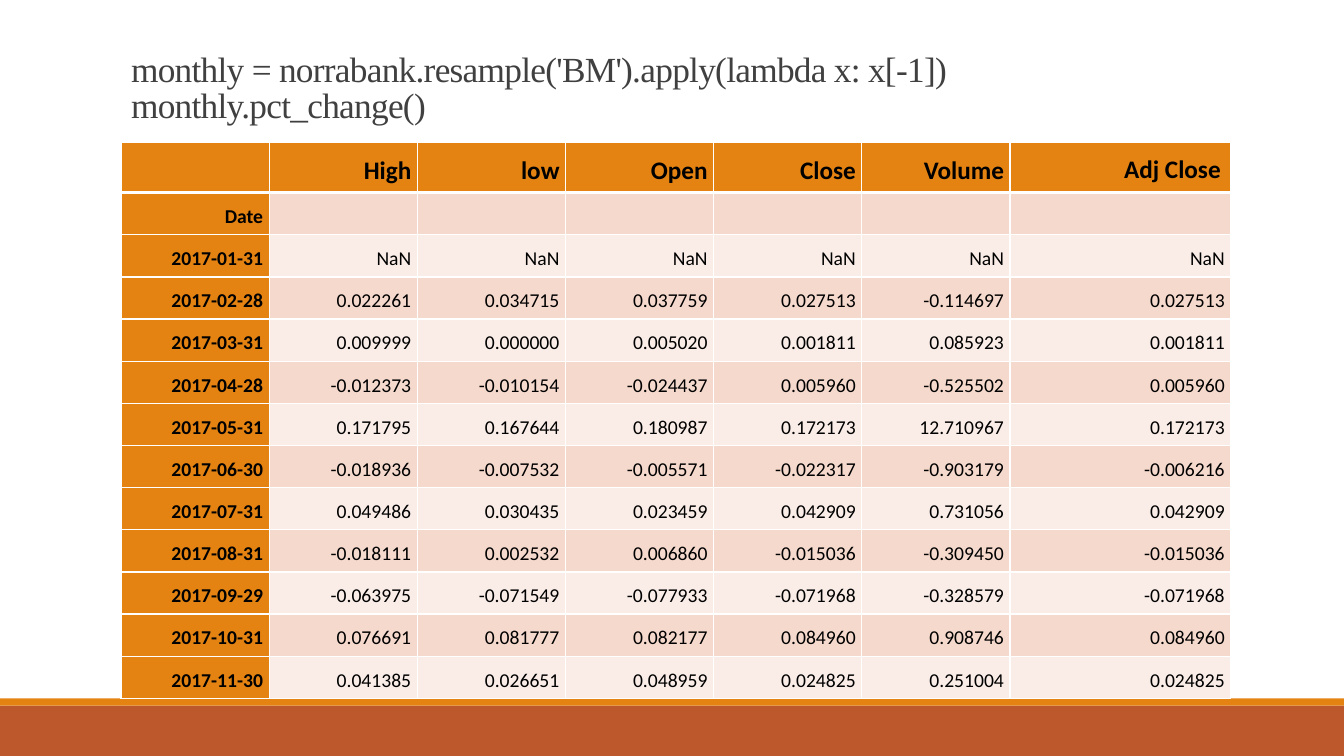
from lxml import etree
from pptx import Presentation
from pptx.dml.color import RGBColor
from pptx.enum.shapes import MSO_SHAPE
from pptx.enum.text import MSO_ANCHOR, MSO_AUTO_SIZE, PP_ALIGN
from pptx.oxml.ns import qn
from pptx.util import Inches, Pt

LEFT, RIGHT = PP_ALIGN.LEFT, PP_ALIGN.RIGHT
TOP, MIDDLE, BOTTOM = MSO_ANCHOR.TOP, MSO_ANCHOR.MIDDLE, MSO_ANCHOR.BOTTOM
RECTANGLE = MSO_SHAPE.RECTANGLE
NO_AUTOFIT = MSO_AUTO_SIZE.NONE

ORANGE, RUST = "E48312", "BD582C"
BAND_DARK, BAND_LIGHT = "F5D9CC", "FAEDE7"
WHITE, BLACK, GREY = "FFFFFF", "000000", "404040"

HEADINGS = ["", "High", "low", "Open", "Close", "Volume", "Adj Close"]
MONTHLY_CHANGES = """\
Date
2017-01-31 NaN NaN NaN NaN NaN NaN
2017-02-28 0.022261 0.034715 0.037759 0.027513 -0.114697 0.027513
2017-03-31 0.009999 0.000000 0.005020 0.001811 0.085923 0.001811
2017-04-28 -0.012373 -0.010154 -0.024437 0.005960 -0.525502 0.005960
2017-05-31 0.171795 0.167644 0.180987 0.172173 12.710967 0.172173
2017-06-30 -0.018936 -0.007532 -0.005571 -0.022317 -0.903179 -0.006216
2017-07-31 0.049486 0.030435 0.023459 0.042909 0.731056 0.042909
2017-08-31 -0.018111 0.002532 0.006860 -0.015036 -0.309450 -0.015036
2017-09-29 -0.063975 -0.071549 -0.077933 -0.071968 -0.328579 -0.071968
2017-10-31 0.076691 0.081777 0.082177 0.084960 0.908746 0.084960
2017-11-30 0.041385 0.026651 0.048959 0.024825 0.251004 0.024825"""


def paint(target, color):
    """Give a fill or a font the solid colour of a hex string."""
    if hasattr(target, "solid"):
        target.solid()
        target.fore_color.rgb = RGBColor.from_string(color)
    else:
        target.color.rgb = RGBColor.from_string(color)


def write(frame, text, font, size, color, align, line_spacing,
          bold=False, before=0, tracking=0):
    """Fill a text frame with one paragraph; \\v in the text breaks the line."""
    paragraph = frame.paragraphs[0]
    paragraph.text = text
    paragraph.alignment = align
    paragraph.line_spacing = line_spacing
    paragraph.space_before = Pt(before)
    for run in paragraph.runs:
        run.font.name = font
        run.font.size = Pt(size)
        run.font.bold = bold
        paint(run.font, color)
        if tracking:
            run.font._element.set("spc", str(int(tracking * 100)))


prs = Presentation()
prs.slide_width, prs.slide_height = Inches(13.33), Inches(7.5)
slide = prs.slides.add_slide(prs.slide_layouts[5])

# Footer bars
for top, height, color in [(7, 0.5, RUST), (6.93, 0.07, ORANGE)]:
    bar = slide.shapes.add_shape(
        RECTANGLE, 0, Inches(top), prs.slide_width, Inches(height))
    bar.shadow.inherit = False
    bar.line.fill.background()
    paint(bar.fill, color)

# Title
title = slide.shapes.title
title.left, title.top = Inches(1.2), Inches(0.31)
title.width, title.height = Inches(11), Inches(0.99)
title.text_frame.auto_size = NO_AUTOFIT
title.text_frame.word_wrap = True
title.text_frame.vertical_anchor = BOTTOM
write(title.text_frame,
      "monthly = norrabank.resample('BM').apply(lambda x: x[-1])\v"
      "monthly.pct_change()",
      font="Times New Roman", size=25.2, color=GREY, align=LEFT,
      line_spacing=0.85, tracking=-0.5)

# Table of monthly changes
rows = [HEADINGS] + [line.split() for line in MONTHLY_CHANGES.splitlines()]
table_height, header_height = 5.52, 0.5
row_height = (table_height - header_height) / (len(rows) - 1)
table = slide.shapes.add_table(
    len(rows), len(HEADINGS), Inches(1.2), Inches(1.41),
    Inches(11), Inches(table_height)).table
for index, column in enumerate(table.columns):
    column.width = Inches(2.19 if index == len(HEADINGS) - 1 else 1.47)
for index, row in enumerate(table.rows):
    row.height = Inches(row_height if index else header_height)

for r, values in enumerate(rows):
    for c in range(len(HEADINGS)):
        cell = table.cell(r, c)
        is_label = r == 0 or c == 0

        thick_side = {0: "lnB", 1: "lnT"}.get(r)
        properties = cell._tc.get_or_add_tcPr()
        for side in ("lnL", "lnR", "lnT", "lnB"):
            width = Pt(3 if side == thick_side else 1)
            border = etree.SubElement(properties, qn(f"a:{side}"), w=str(width))
            solid = etree.SubElement(border, qn("a:solidFill"))
            etree.SubElement(solid, qn("a:srgbClr"), val=WHITE)
        paint(cell.fill, ORANGE if is_label else BAND_DARK if r % 2 else BAND_LIGHT)

        if c >= len(values) or not values[c]:
            continue
        if values[c] == "Adj Close":
            cell.vertical_anchor = TOP
        else:
            cell.vertical_anchor = MIDDLE
            cell.margin_left = cell.margin_right = Inches(0.06)
            cell.margin_top = cell.margin_bottom = Inches(0.06)
        write(cell.text_frame, values[c], font="Calibri",
              size=14 if r else 18, color=BLACK, align=RIGHT,
              line_spacing=1.25, bold=is_label, before=9)

prs.save("out.pptx")
